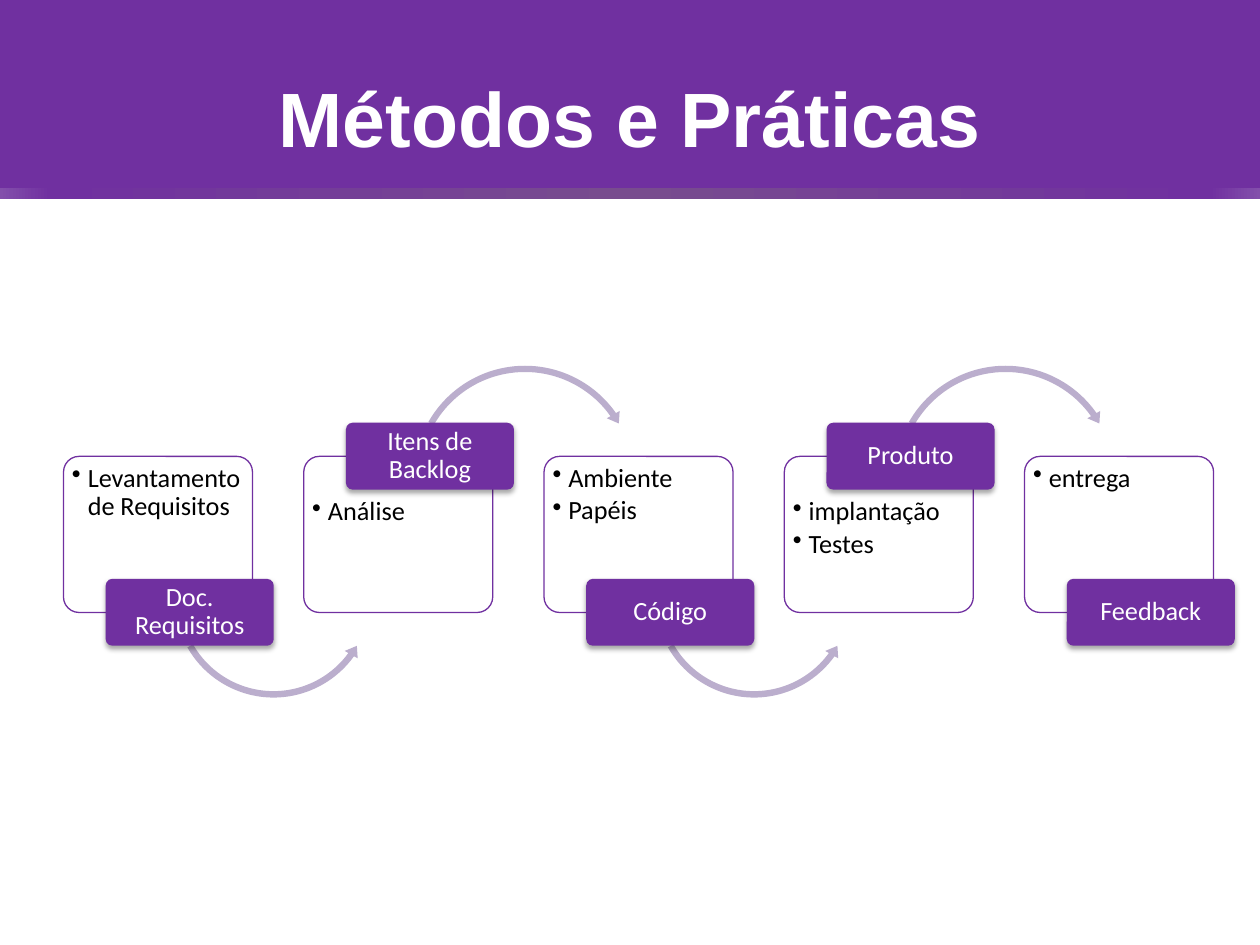
from lxml import etree
from pptx import Presentation
from pptx.dml.color import RGBColor
from pptx.enum import shapes, text
from pptx.oxml import parse_xml
from pptx.oxml.ns import nsdecls, qn
from pptx.util import Pt

PURPLE = RGBColor(0x70, 0x30, 0xA0)
LILAC = RGBColor(0xBB, 0xAE, 0xCD)
WHITE = RGBColor(0xFF, 0xFF, 0xFF)
BLACK = RGBColor(0, 0, 0)
STRIP_STOPS = [(0, "834FAB"), (4, "7030A0"), (50, "784C8E"), (96, "7030A0"), (100, "834FAB")]

PITCH = 137.3
STEPS = [
    (["Levantamento de Requisitos"], "Doc. Requisitos"),
    (["Análise"], "Itens de Backlog"),
    (["Ambiente", "Papéis"], "Código"),
    (["implantação", "Testes"], "Produto"),
    (["entrega"], "Feedback"),
]

prs = Presentation()
prs.slide_width, prs.slide_height = Pt(720), Pt(540)
slide = prs.slides.add_slide(prs.slide_layouts[6])


def add_filled(kind, left, top, width, height, color):
    shape = slide.shapes.add_shape(kind, Pt(left), Pt(top), Pt(width), Pt(height))
    shape.shadow.inherit = False
    shape.fill.solid()
    shape.fill.fore_color.rgb = color
    shape.line.fill.background()
    return shape


def write(shape, lines, size, font, color, align, insets):
    """Fill the shape with one paragraph per line; insets are left, top, right, bottom."""
    frame = shape.text_frame
    frame.word_wrap = True
    frame.margin_left, frame.margin_top, frame.margin_right, frame.margin_bottom = map(Pt, insets)
    frame.text = "\n".join(lines)
    for paragraph in frame.paragraphs:
        paragraph.alignment = align
        paragraph.line_spacing = 0.9
        paragraph.font.size = Pt(size)
        paragraph.font.name = font
        paragraph.font.color.rgb = color
    return frame


# Header band, its gradient strip and the title
add_filled(shapes.MSO_SHAPE.RECTANGLE, 0, 0, 720, 108, PURPLE)
strip = add_filled(shapes.MSO_SHAPE.RECTANGLE, 0, 107.5, 720, 6.25, PURPLE)
strip.fill.gradient()
strip.fill.gradient_angle = 0
stop_list = strip.fill._fill._gradFill.find(qn("a:gsLst"))
for stop in list(stop_list):
    stop_list.remove(stop)
for percent, color in STRIP_STOPS:
    stop = etree.SubElement(stop_list, qn("a:gs"), pos=str(percent * 1000))
    etree.SubElement(stop, qn("a:srgbClr"), val=color)

title = slide.shapes.add_textbox(Pt(36), Pt(21.6), Pt(648), Pt(90))
title_frame = write(title, ["Métodos e Práticas"], 44, "Arial", WHITE,
                    text.PP_ALIGN.CENTER, (7.2, 3.6, 7.2, 3.6))
title_frame.vertical_anchor = text.MSO_ANCHOR.MIDDLE
title_frame.paragraphs[0].line_spacing = 1.0
title_frame.paragraphs[0].font.bold = True

# Process steps: labels and arrows alternate between below and above
for index, (practices, deliverable) in enumerate(STEPS):
    left = 36.3 + index * PITCH
    label_above = index % 2 == 1

    card = add_filled(shapes.MSO_SHAPE.ROUNDED_RECTANGLE, left, 260.8, 108, 89.2, WHITE)
    card.adjustments[0] = 0.1
    card.line.color.rgb = PURPLE
    card.line.width = Pt(0.75)
    card_frame = write(card, practices, 15, "Calibri", BLACK, text.PP_ALIGN.LEFT,
                       (2.25, 21.3 if label_above else 2.25, 2.25, 2.25))
    card_frame.vertical_anchor = text.MSO_ANCHOR.TOP
    for paragraph in card_frame.paragraphs:
        paragraph.space_after = Pt(2.25)
        properties = paragraph._p.get_or_add_pPr()
        properties.set("marL", str(Pt(9)))
        properties.set("indent", str(Pt(-9)))
        bullet = parse_xml(f'<a:buChar {nsdecls("a")} char="•"/>')
        properties.find(qn("a:defRPr")).addprevious(bullet)

    if index < len(STEPS) - 1:
        if label_above:
            arrow = add_filled(shapes.MSO_SHAPE.CIRCULAR_ARROW, left + 60.5, 206.6, 131.8, 131.8, LILAC)
            bends = (0.027, 3.339, 194.906, 125.755, 0.032)
        else:
            arrow = add_filled(shapes.MSO_SHAPE.LEFT_CIRCULAR_ARROW, left + 61, 283, 118, 118, LILAC)
            bends = (0.031, 3.758, 21.513, 90.245, 0.036)
        for position, bend in enumerate(bends):
            arrow.adjustments[position] = bend

    label = add_filled(shapes.MSO_SHAPE.ROUNDED_RECTANGLE, left + 24.1,
                       241.6 if label_above else 330.8, 96, 38.2, PURPLE)
    label.adjustments[0] = 0.1
    label_frame = write(label, [deliverable], 15, "Calibri", WHITE,
                        text.PP_ALIGN.CENTER, (2.25, 1.5, 2.25, 1.5))
    label_frame.vertical_anchor = text.MSO_ANCHOR.MIDDLE
    label._element.spPr.find(qn("a:effectLst")).append(parse_xml(
        f'<a:outerShdw {nsdecls("a")} blurRad="{Pt(3.1)}" dist="{Pt(1.8)}" dir="5400000" rotWithShape="0">'
        '<a:srgbClr val="000000"><a:alpha val="35000"/></a:srgbClr></a:outerShdw>'))

prs.save("out.pptx")
